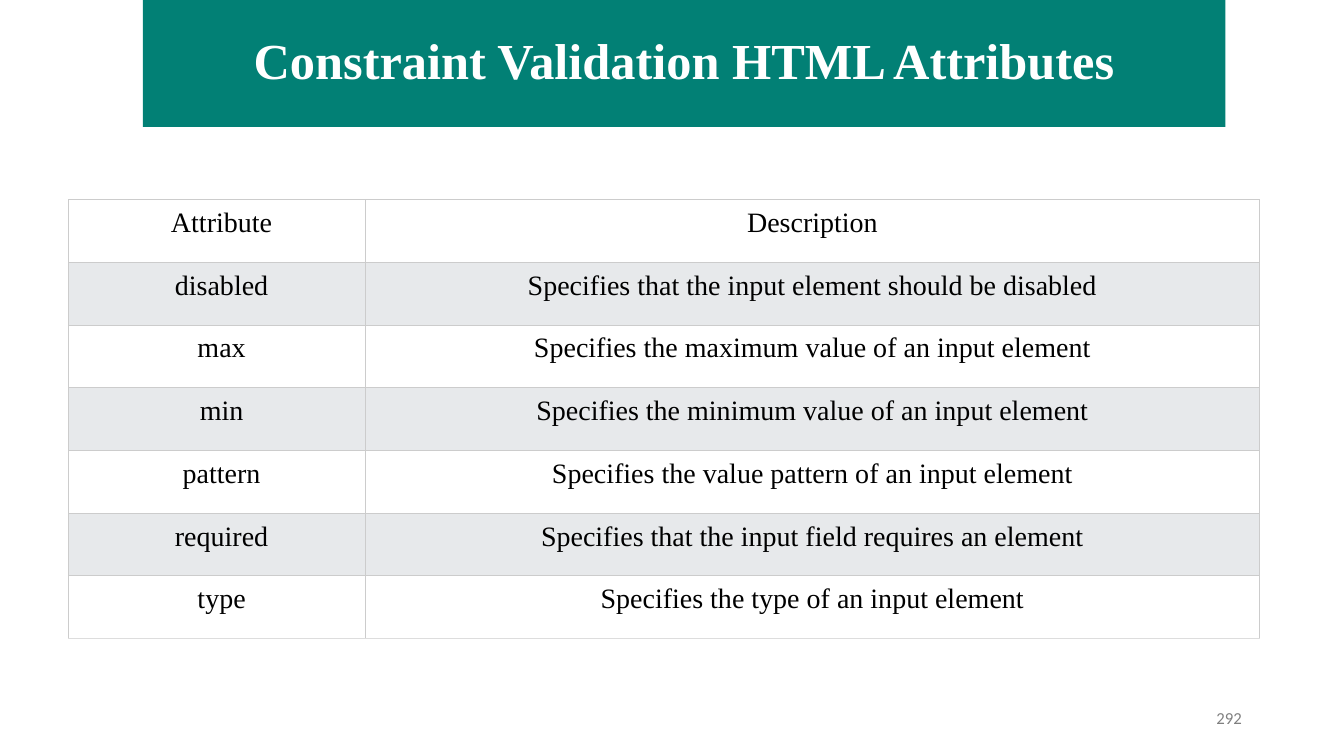
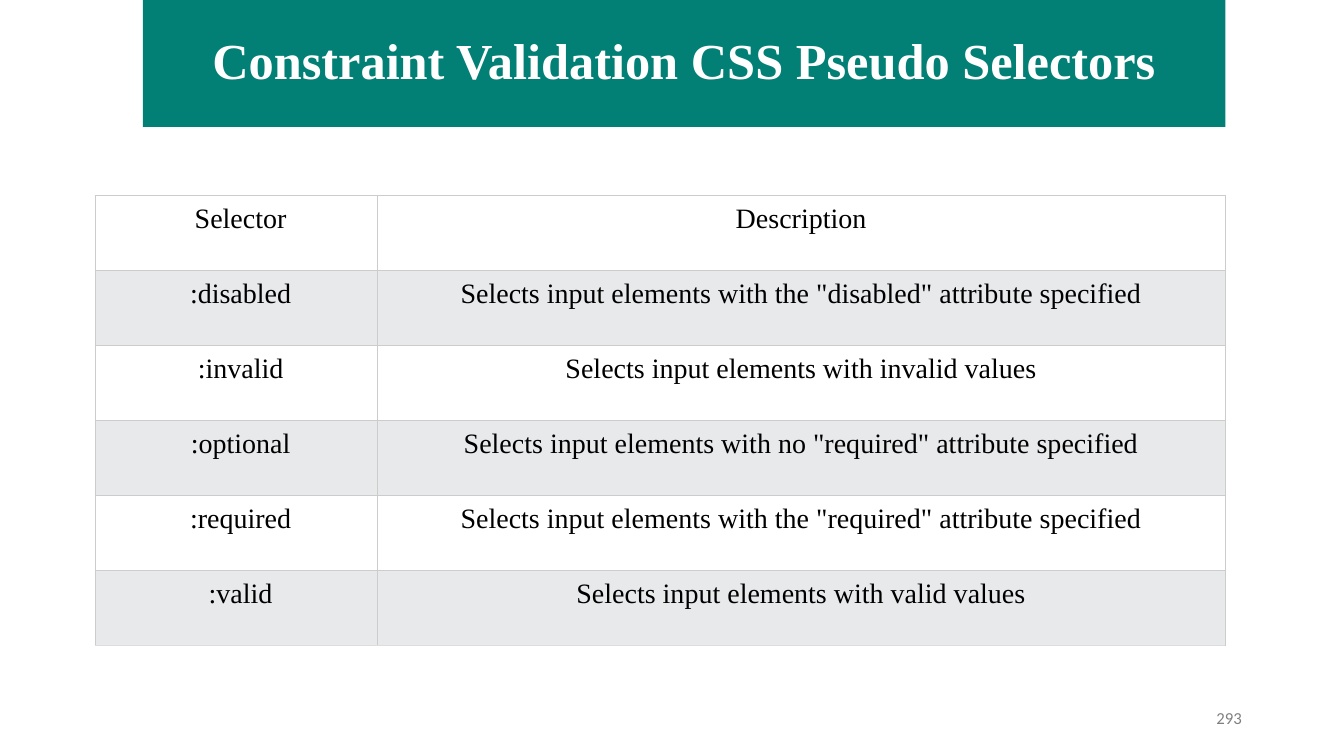
from dataclasses import dataclass

from lxml import etree
from pptx import Presentation
from pptx.dml.color import RGBColor
from pptx.enum.shapes import MSO_SHAPE
from pptx.enum.text import MSO_ANCHOR, PP_ALIGN
from pptx.oxml.ns import qn
from pptx.slide import Slide
from pptx.table import _Cell
from pptx.text.text import TextFrame
from pptx.util import Cm, Pt

TEAL = RGBColor(0x02, 0x80, 0x75)
WHITE = RGBColor(0xFF, 0xFF, 0xFF)
BLACK = RGBColor(0x00, 0x00, 0x00)
GREY = RGBColor(0x80, 0x80, 0x80)
BAND = RGBColor(0xE7, 0xE9, 0xEB)
EDGE = RGBColor(0xCC, 0xCC, 0xCC)
BASE = RGBColor(0xDD, 0xDD, 0xDD)

RECT = MSO_SHAPE.RECTANGLE
CENTER = PP_ALIGN.CENTER
RIGHT = PP_ALIGN.RIGHT
MIDDLE = MSO_ANCHOR.MIDDLE

SERIF = "Times New Roman"
SANS = "Calibri"
PAD = Cm(0.2)
INDENT = Cm(0.42)


@dataclass
class Grid:
    """A two-column table; lengths are in centimetres."""
    left: float
    top: float
    cols: tuple[float, float]
    height: float
    rows: list[tuple[str, str]]


@dataclass
class Page:
    title: str
    number: int
    grid: Grid


PAGES = [
    Page("Constraint Validation HTML Attributes", 292, Grid(
        1.73, 5.03, (7.49, 22.51), 1.58, [
            ("Attribute", "Description"),
            ("disabled", "Specifies that the input element should be disabled"),
            ("max", "Specifies the maximum value of an input element"),
            ("min", "Specifies the minimum value of an input element"),
            ("pattern", "Specifies the value pattern of an input element"),
            ("required", "Specifies that the input field requires an element"),
            ("type", "Specifies the type of an input element"),
        ])),
    Page("Constraint Validation CSS Pseudo Selectors", 293, Grid(
        2.4, 4.93, (7.11, 21.36), 1.89, [
            ("Selector", "Description"),
            (":disabled", 'Selects input elements with the "disabled" attribute specified'),
            (":invalid", "Selects input elements with invalid values"),
            (":optional", 'Selects input elements with no "required" attribute specified'),
            (":required", 'Selects input elements with the "required" attribute specified'),
            (":valid", "Selects input elements with valid values"),
        ])),
]


def write(frame: TextFrame, text: str, *, size: int = 20, color: RGBColor = BLACK,
          name: str = SERIF, bold: bool = False, align: PP_ALIGN = CENTER,
          spacing: float = 1.0) -> None:
    frame.word_wrap = True
    para = frame.paragraphs[0]
    para.alignment = align
    para.line_spacing = spacing
    run = para.add_run()
    run.text = text
    font = run.font
    font.size, font.name, font.bold = Pt(size), name, bold
    font.color.rgb = color


def border(cell: _Cell, base: RGBColor) -> None:
    """Line all four sides, with its own colour at the bottom."""
    props = cell._tc.get_or_add_tcPr()
    for side, color in (("L", EDGE), ("R", EDGE), ("T", EDGE), ("B", base)):
        line = etree.SubElement(props, qn(f"a:ln{side}"), w=str(Pt(0.75)))
        fill = etree.SubElement(line, qn("a:solidFill"))
        etree.SubElement(fill, qn("a:srgbClr"), val=str(color))


def add_title(slide: Slide, text: str) -> None:
    bar = slide.shapes.add_shape(RECT, Cm(3.6), 0, Cm(27.28), Cm(3.2))
    bar.shadow.inherit = False
    bar.fill.solid()
    bar.fill.fore_color.rgb = TEAL
    bar.line.fill.background()
    bar.text_frame.vertical_anchor = MIDDLE
    write(bar.text_frame, text, size=36, color=WHITE, bold=True, spacing=0.9)


def add_number(slide: Slide, number: int) -> None:
    box = slide.shapes.add_textbox(Cm(23.93), Cm(17.7), Cm(7.62), Cm(1.02))
    write(box.text_frame, str(number), size=12, color=GREY, name=SANS, align=RIGHT)


def add_grid(slide: Slide, grid: Grid) -> None:
    count = len(grid.rows)
    table = slide.shapes.add_table(
        count, len(grid.cols), Cm(grid.left), Cm(grid.top),
        Cm(sum(grid.cols)), Cm(grid.height * count)).table
    table.first_row = table.horz_banding = False
    for col, width in zip(table.columns, grid.cols):
        col.width = Cm(width)
    for i, texts in enumerate(grid.rows):
        table.rows[i].height = Cm(grid.height)
        for j, text in enumerate(texts):
            cell = table.cell(i, j)
            border(cell, BASE if i == count - 1 else EDGE)
            cell.fill.solid()
            cell.fill.fore_color.rgb = BAND if i % 2 else WHITE
            cell.margin_left = PAD if j else INDENT
            cell.margin_right = cell.margin_top = cell.margin_bottom = PAD
            write(cell.text_frame, text)


def main() -> None:
    deck = Presentation()
    deck.slide_width, deck.slide_height = Cm(33.87), Cm(19.05)
    blank = deck.slide_layouts[6]
    for page in PAGES:
        slide = deck.slides.add_slide(blank)
        add_grid(slide, page.grid)
        add_title(slide, page.title)
        add_number(slide, page.number)
    deck.save("out.pptx")


if __name__ == "__main__":
    main()
